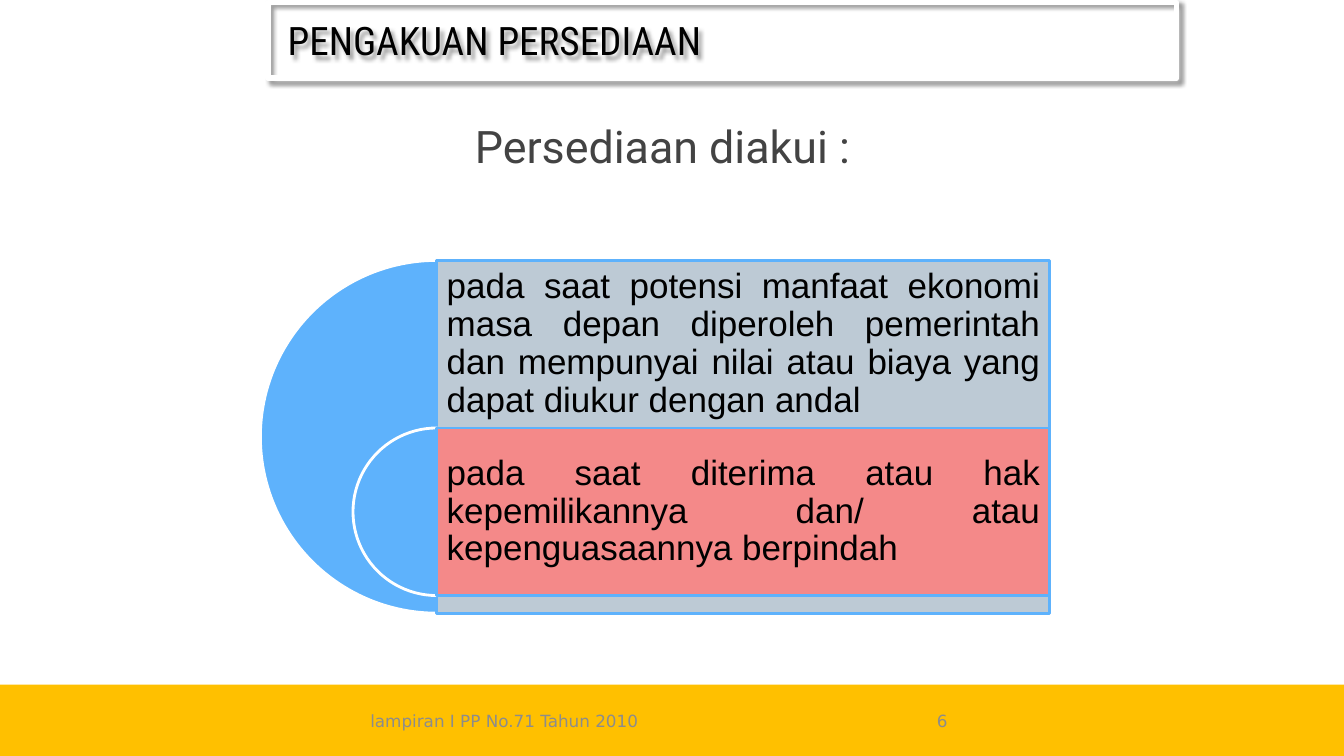
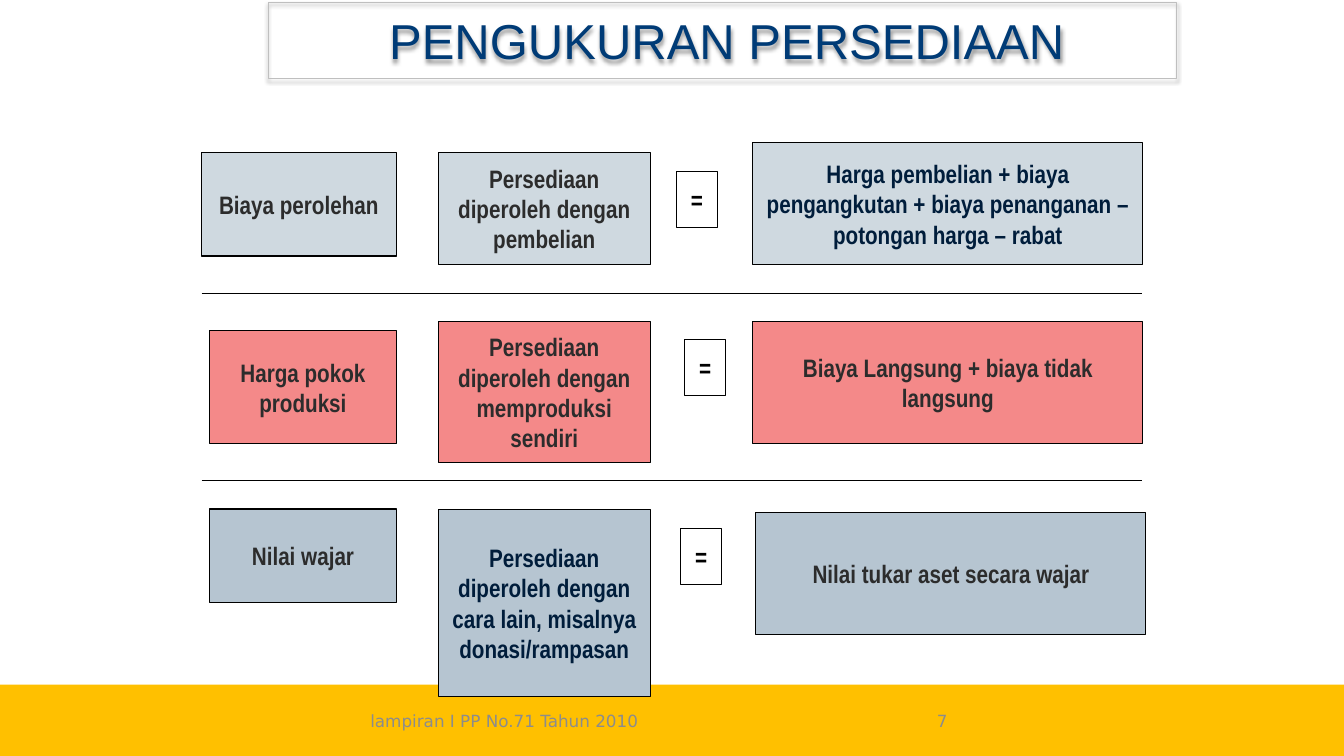
from dataclasses import dataclass

from lxml import etree
from pptx import Presentation
from pptx.dml.color import RGBColor
from pptx.enum.shapes import MSO_CONNECTOR, MSO_SHAPE
from pptx.enum.text import MSO_ANCHOR, MSO_AUTO_SIZE, PP_ALIGN
from pptx.oxml.ns import qn
from pptx.util import Pt

RECTANGLE, PIE = MSO_SHAPE.RECTANGLE, MSO_SHAPE.PIE
STRAIGHT = MSO_CONNECTOR.STRAIGHT
TOP, MIDDLE = MSO_ANCHOR.TOP, MSO_ANCHOR.MIDDLE
LEFT, CENTER, RIGHT, JUSTIFY = PP_ALIGN.LEFT, PP_ALIGN.CENTER, PP_ALIGN.RIGHT, PP_ALIGN.JUSTIFY
NO_AUTOFIT = MSO_AUTO_SIZE.NONE
TITLE_ONLY = 5
PAGE_WIDTH, PAGE_HEIGHT = 960, 540


@dataclass(frozen=True)
class TextStyle:
    font: str
    size: float
    color: str
    bold: bool = False


@dataclass(frozen=True)
class Theme:
    band: str = "FFC000"
    black: str = "000000"
    white: str = "FFFFFF"
    frame: str = "BFBFBF"
    blue: str = "5EB2FC"
    slate: str = "B6C5D1"
    mist: str = "CFD9E0"
    coral: str = "F48989"
    footer: TextStyle = TextStyle("DejaVu Sans", 12, "8C8C8C")
    title: TextStyle = TextStyle("Roboto Condensed", 28, "000000")
    wide_title: TextStyle = TextStyle("Arial", 35, "003B76")
    lead: TextStyle = TextStyle("Roboto", 32, "434343")
    point: TextStyle = TextStyle("Arial", 25, "000000")
    label: TextStyle = TextStyle("Arial Narrow", 18, "2C2C2C", True)
    navy_label: TextStyle = TextStyle("Arial Narrow", 18, "001D3B", True)
    sign: TextStyle = TextStyle("Arial Narrow", 18, "000000", True)


class DeckBuilder:
    def __init__(self, theme):
        self.theme = theme
        self.deck = Presentation()
        self.deck.slide_width = Pt(PAGE_WIDTH)
        self.deck.slide_height = Pt(PAGE_HEIGHT)
        self.page = None

    def start_page(self, number):
        layout = self.deck.slide_layouts[TITLE_ONLY]
        self.page = self.deck.slides.add_slide(layout)
        self.shape(RECTANGLE, (0, 489, PAGE_WIDTH, 51), self.theme.band)
        footer = self.theme.footer
        self.text("lampiran I PP No.71 Tahun 2010", (246.2, 500.4, 228.2, 28.8), footer)
        self.text(str(number), (516.2, 500.4, 167.8, 28.8), footer, RIGHT)

    def title(self, words, style, align, line, width, distance, angle):
        box = self.page.shapes.title
        box.left, box.top, box.width, box.height = map(Pt, (191.5, 1.8, 649, 54))
        self.paint(box, None, line, width)
        self.shadow(box, distance, angle)
        self.set_text(box, words, style, align, margins=(14, 7.2, 7.2, 7.2))

    def shadow(self, box, distance, angle):
        properties = box.element.spPr
        effects = etree.SubElement(properties, qn("a:effectLst"))
        outer = etree.SubElement(effects, qn("a:outerShdw"), {
            "blurRad": str(Pt(3)), "dist": str(Pt(distance)),
            "dir": str(angle * 60000), "algn": "tl", "rotWithShape": "0"})
        color = etree.SubElement(outer, qn("a:srgbClr"), val=self.theme.black)
        etree.SubElement(color, qn("a:alpha"), val="38000")

    def paint(self, box, fill, line, width, opacity=100):
        if fill:
            box.fill.solid()
            box.fill.fore_color.rgb = RGBColor.from_string(fill)
            if opacity < 100:
                color = box.element.spPr.find(qn("a:solidFill"))[0]
                etree.SubElement(color, qn("a:alpha"), val=str(opacity * 1000))
        else:
            box.fill.background()
        if line:
            box.line.color.rgb = RGBColor.from_string(line)
            box.line.width = Pt(width)
        else:
            box.line.fill.background()

    def shape(self, kind, place, fill, line=None, width=0.75, opacity=100):
        box = self.page.shapes.add_shape(kind, *map(Pt, place))
        box.shadow.inherit = False
        self.paint(box, fill, line, width, opacity)
        return box

    def half_disc(self, place):
        disc = self.shape(PIE, place, self.theme.blue, self.theme.white, 2)
        disc.adjustments[0], disc.adjustments[1] = 54, 162

    def label(self, words, place, fill, style, wrap=True):
        box = self.shape(RECTANGLE, place, fill, self.theme.black)
        self.set_text(box, words, style, CENTER, margins=(5, 2.2, 5, 2.2), wrap=wrap)

    def text(self, words, place, style, align=CENTER, anchor=MIDDLE, spacing=1):
        box = self.page.shapes.add_textbox(*map(Pt, place))
        self.set_text(box, words, style, align, anchor, spacing)

    def set_text(self, box, words, style, align, anchor=MIDDLE, spacing=1,
                 margins=(7.2, 7.2, 7.2, 7.2), wrap=True):
        frame = box.text_frame
        frame.auto_size = NO_AUTOFIT
        frame.word_wrap = wrap
        frame.vertical_anchor = anchor
        (frame.margin_left, frame.margin_top,
         frame.margin_right, frame.margin_bottom) = map(Pt, margins)
        para = frame.paragraphs[0]
        para.text = words
        para.alignment = align
        para.line_spacing = spacing
        para.font.name = style.font
        para.font.size = Pt(style.size)
        para.font.bold = style.bold
        para.font.color.rgb = RGBColor.from_string(style.color)

    def rule(self, left, right, top):
        line = self.page.shapes.add_connector(STRAIGHT, *map(Pt, (left, top, right, top)))
        line.line.color.rgb = RGBColor.from_string(self.theme.black)
        line.line.width = Pt(0.75)
        etree.SubElement(line.element.spPr, qn("a:effectLst"))


def add_recognition(builder):
    theme = builder.theme
    builder.start_page(6)
    builder.title("PENGAKUAN PERSEDIAAN", theme.title, LEFT, theme.white, 4, 3, 45)
    builder.text("Persediaan diakui :", (66.2, 72, 814.3, 70), theme.lead,
                 anchor=TOP, spacing=1.15)
    left, width, row_height = 312, 437.8, 119.7
    points = (
        (186, 252, theme.slate, 90,
         "pada saat potensi manfaat ekonomi masa depan diperoleh pemerintah "
         "dan mempunyai nilai atau biaya yang dapat diukur dengan andal"),
        (305.7, row_height, theme.coral, 100,
         "pada saat diterima atau hak kepemilikannya dan/ atau "
         "kepenguasaannya berpindah"),
    )
    for top, size, fill, opacity, words in points:
        builder.half_disc((left - size / 2, top, size, size))
        builder.shape(RECTANGLE, (left, top, width, size), fill, theme.blue, 2, opacity)
        builder.text(words, (left, top, width, row_height), theme.point, JUSTIFY, spacing=0.9)


def add_measurement(builder):
    theme = builder.theme
    plain, navy = theme.label, theme.navy_label
    builder.start_page(7)
    builder.title("PENGUKURAN PERSEDIAAN", theme.wide_title, CENTER, theme.frame, 0.75, 1.6, 90)
    rows = (
        (theme.mist, (483.1, 122.4), (
            ("Biaya perolehan", (144, 108.7, 139, 74.2), plain),
            ("Persediaan diperoleh dengan pembelian", (313.2, 108.7, 151.2, 80.6), plain),
            ("Harga pembelian + biaya pengangkutan + biaya penanganan – "
             "potongan harga – rabat", (537.8, 102, 278.6, 87.1), navy))),
        (theme.coral, (488.9, 242.6), (
            ("Harga pokok produksi", (149.8, 236.2, 133.2, 80.6), plain),
            ("Persediaan diperoleh dengan memproduksi sendiri",
             (313.2, 229.7, 151.2, 100.8), plain),
            ("Biaya Langsung + biaya tidak langsung", (537.8, 229.7, 278.6, 87.1), plain))),
        (theme.slate, (486, 377.3), (
            ("Nilai wajar", (149.8, 363.6, 133.2, 67), plain),
            ("Persediaan diperoleh dengan cara lain, misalnya donasi/rampasan",
             (313.2, 363.6, 151.2, 134), navy),
            ("Nilai tukar aset secara wajar", (540, 366, 278.6, 87.1), plain))),
    )
    for fill, sign_corner, labels in rows:
        for words, place, style in labels:
            builder.label(words, place, fill, style)
        builder.label("=", (*sign_corner, 29.5, 40.3), None, theme.sign, wrap=False)
    for top in (209.5, 343.5):
        builder.rule(144, 816, top)


def main():
    builder = DeckBuilder(Theme())
    add_recognition(builder)
    add_measurement(builder)
    builder.deck.save("out.pptx")


if __name__ == "__main__":
    main()
